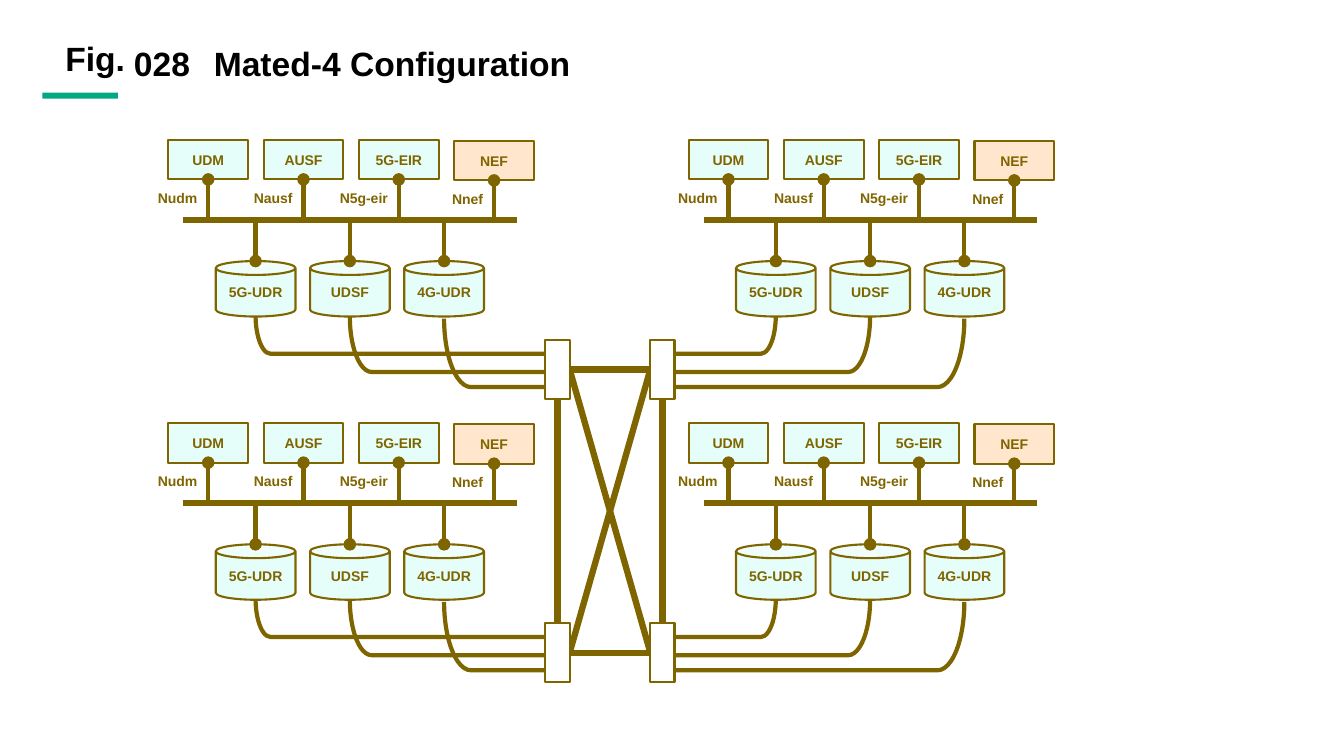
from itertools import product

from lxml.etree import SubElement
from pptx import Presentation
from pptx.dml.color import RGBColor
from pptx.enum.shapes import MSO_CONNECTOR as CONN, MSO_SHAPE as SHAPE
from pptx.enum.text import MSO_ANCHOR as ANCHOR, PP_ALIGN as ALIGN
from pptx.oxml.ns import qn
from pptx.util import Inches, Pt

# Content
TITLE, PREFIX, NUMBER = "Mated-4 Configuration", "Fig.", "028"
FUNCTIONS = [  # name, interface, fill, label width, drop
    ("UDM", "Nudm", "E5FEF9", 0.62, 0),
    ("AUSF", "Nausf", "E5FEF9", 0.62, 0),
    ("5G-EIR", "N5g-eir", "E5FEF9", 0.7, 0),
    ("NEF", "Nnef", "FFE6CC", 0.62, 0.01),
]
STORES = [("5G-UDR", 3.13, 0.38), ("UDSF", 3.14, 0.55), ("4G-UDR", 3.16, 0.68)]  # name, cable top, depth
SWITCH_LINKS = [  # from (column, row), side, to (column, row), side
    ((0, 0), 3, (1, 0), 1), ((0, 0), 3, (1, 1), 1),
    ((0, 1), 3, (1, 0), 1), ((0, 1), 3, (1, 1), 1),
    ((0, 0), 2, (0, 1), 0), ((1, 0), 2, (1, 1), 0),
]

# Grid
SITE_DX, SITE_DY = 5.16, 2.81
BOX_X, BOX_Y, BOX_STEP, BOX_W, BOX_H = 1.67, 1.39, 0.945, 0.79, 0.39
STORE_X, STORE_Y, STORE_STEP, STORE_H = 2.14, 2.59, 0.935, 0.55
BUS_X, BUS_Y, BUS_W = 1.82, 2.18, 3.31
SWITCH_X, SWITCH_Y, SWITCH_DX, SWITCH_W, SWITCH_H = 5.41, 3.37, 1.04, 0.24, 0.59
INK, WHITE, GREEN, BLACK = "7F6500", "FFFFFF", "01A982", "000000"
LABEL = {"size": Pt(10), "bold": True, "name": "Arial"}
HEADING = {**LABEL, "size": Pt(24)}

prs = Presentation()
prs.slide_width, prs.slide_height = Inches(13.33), Inches(7.5)
s = prs.slides.add_slide(prs.slide_layouts[5])


def rgb(value):
    return RGBColor.from_string(value)


def write(sp, text, font, color, align, anchor, inset=None, spacing=None):
    tf = sp.text_frame
    tf.word_wrap, tf.vertical_anchor = True, anchor
    if inset is not None:
        for side in ("left", "right", "top", "bottom"):
            setattr(tf, f"margin_{side}", Inches(inset))
    p = tf.paragraphs[0]
    p.alignment, p.line_spacing, p.space_before = align, spacing, Pt(0)
    r = p.add_run()
    r.text = text
    for key, value in font.items():
        setattr(r.font, key, value)
    r.font.color.rgb = rgb(color)


def add_text(x, y, w, h, *style, **extra):
    sp = s.shapes.add_textbox(*map(Inches, (x, y, w, h)))
    write(sp, *style, **extra)


def add_shape(kind, x, y, w, h, fill=None, width=None, text=None):
    sp = s.shapes.add_shape(kind, *map(Inches, (x, y, w, h)))
    sp.shadow.inherit = False
    if fill:
        sp.fill.solid()
        sp.fill.fore_color.rgb = rgb(fill)
    else:
        sp.fill.background()
    if width:
        sp.line.color.rgb = rgb(INK)
        sp.line.width = Pt(width)
    else:
        sp.line.fill.background()
    if text:
        write(sp, text, LABEL, INK, ALIGN.CENTER, ANCHOR.MIDDLE, inset=0)
    return sp


def add_line(x1, y1, x2, y2, width, dot=False):
    line = s.shapes.add_connector(CONN.STRAIGHT, *map(Inches, (x1, y1, x2, y2)))
    line.line.color.rgb = rgb(INK)
    line.line.width = Pt(width)
    if dot:
        SubElement(line.line._get_or_add_ln(), qn("a:headEnd"), type="oval")
    SubElement(line._element.spPr, qn("a:effectLst"))
    return line


def add_cables(dy):
    """Open-topped brackets joining equal stores of the two sites in a row."""
    for i, (_, top, depth) in enumerate(STORES):
        middle = STORE_X + BOX_W / 2 + i * STORE_STEP + SITE_DX / 2
        sp = add_shape(SHAPE.LEFT_BRACKET, middle - depth / 2,
                       top + dy + depth / 2 - SITE_DX / 2, depth, SITE_DX, width=3)
        sp.rotation = 270
        sp.adjustments[0] = 0.393


def add_site(dx, dy):
    bus_y = BUS_Y + dy
    add_line(BUS_X + dx, bus_y, BUS_X + dx + BUS_W, bus_y, 4.5)
    for i, (name, _, _) in enumerate(STORES):
        x, y = STORE_X + dx + i * STORE_STEP, STORE_Y + dy
        add_shape(SHAPE.CAN, x, y, BOX_W, STORE_H, "E5FEF9", 1.5, name)
        add_line(x + BOX_W / 2, y, x + BOX_W / 2, bus_y, 3, dot=True)
    for i, (name, interface, fill, label_w, drop) in enumerate(FUNCTIONS):
        x, y = BOX_X + dx + i * BOX_STEP, BOX_Y + dy + drop
        middle, bottom = x + BOX_W / 2, y + BOX_H
        box = add_shape(SHAPE.RECTANGLE, x, y, BOX_W, BOX_H, fill, 1.5, name)
        add_text(middle - 0.01 - label_w, bottom - 0.01, label_w, BOX_H,
                 interface, LABEL, INK, ALIGN.RIGHT, ANCHOR.MIDDLE)
        stub = add_line(middle, bottom, middle, bus_y, 3, dot=True)
        stub.begin_connect(box, 2)


# Heading
add_shape(SHAPE.RECTANGLE, 0.42, 0.92, 0.75, 0.06, GREEN)
title = s.shapes.title
title.left, title.top, title.width, title.height = map(Inches, (2.02, 0.42, 10.9, 0.47))
write(title, TITLE, HEADING, BLACK, ALIGN.LEFT, ANCHOR.TOP, spacing=0.9)
add_text(0.45, 0.42, 0.79, 0.47, PREFIX, HEADING, BLACK, ALIGN.RIGHT, ANCHOR.TOP,
         inset=0, spacing=0.9)
add_text(1.23, 0.42, 0.79, 0.47, NUMBER, HEADING, BLACK, ALIGN.LEFT, ANCHOR.TOP, spacing=0.9)

# Four sites, two per row
for row in range(2):
    add_cables(row * SITE_DY)
    for col in range(2):
        add_site(col * SITE_DX, row * SITE_DY)

# Switch core: clear the middle, then links behind the switches
add_shape(SHAPE.RECTANGLE, SWITCH_X + SWITCH_W / 2, 3, SWITCH_DX, 3.82, WHITE)
links = [add_line(SWITCH_X, SWITCH_Y, SWITCH_X, SWITCH_Y, 4.5) for _ in SWITCH_LINKS]
switches = {
    (col, row): add_shape(SHAPE.RECTANGLE, SWITCH_X + col * SWITCH_DX, SWITCH_Y + row * SITE_DY,
                          SWITCH_W, SWITCH_H, WHITE, 1.5)
    for col, row in product(range(2), repeat=2)
}
for link, (start, start_side, end, end_side) in zip(links, SWITCH_LINKS):
    link.begin_connect(switches[start], start_side)
    link.end_connect(switches[end], end_side)

prs.save("out.pptx")
